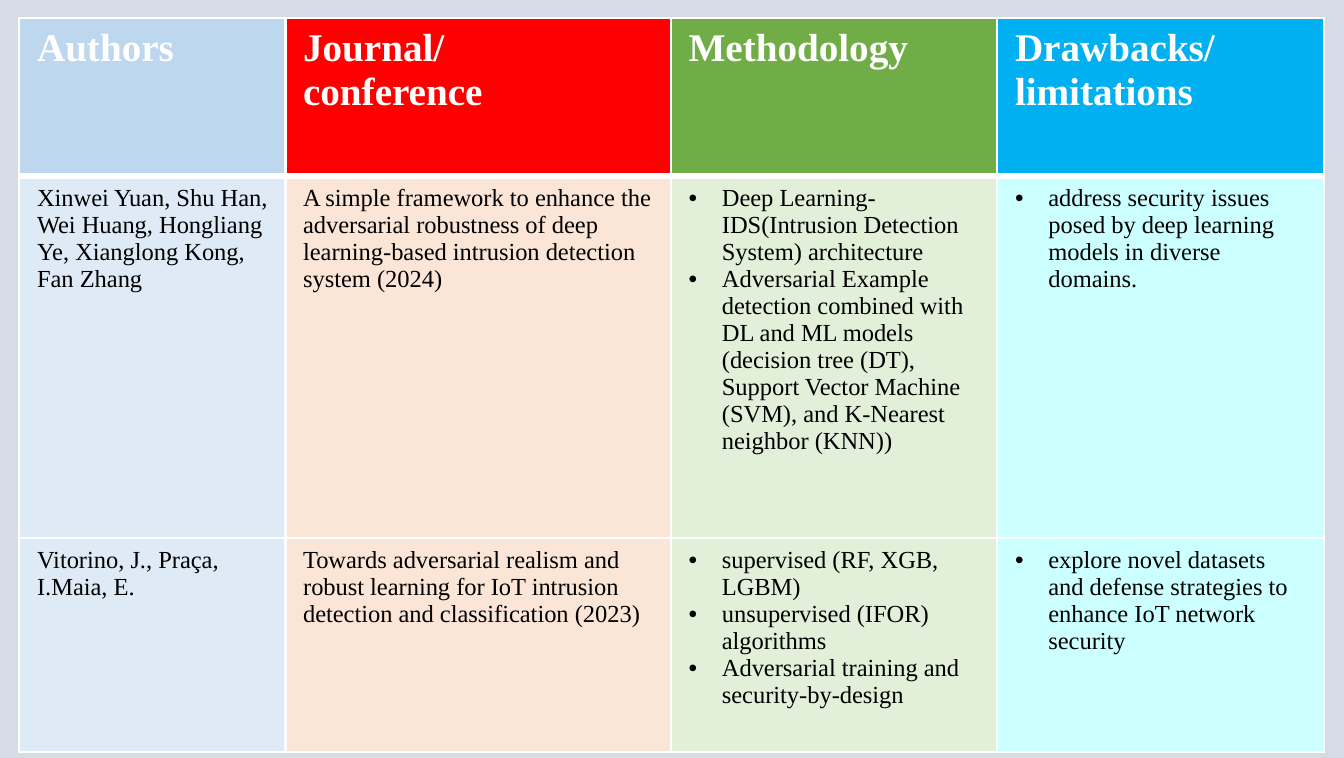
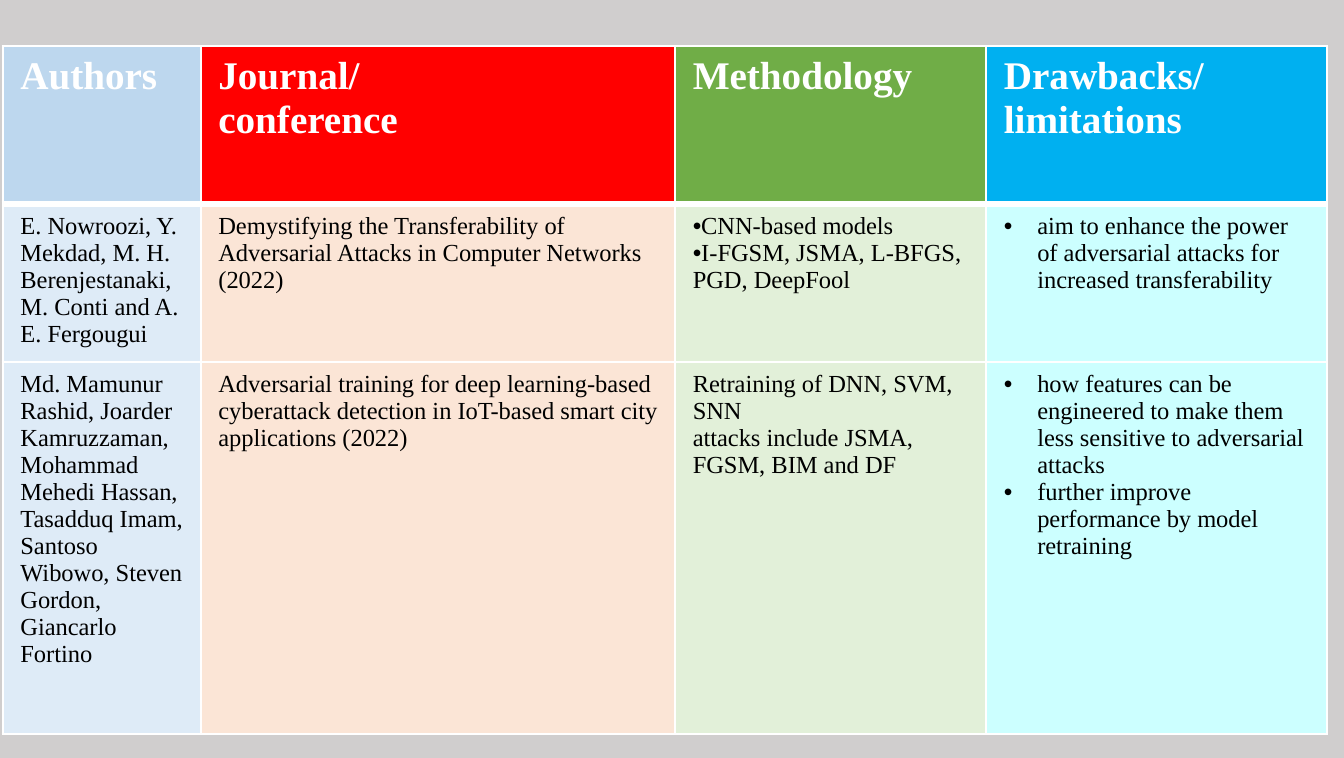
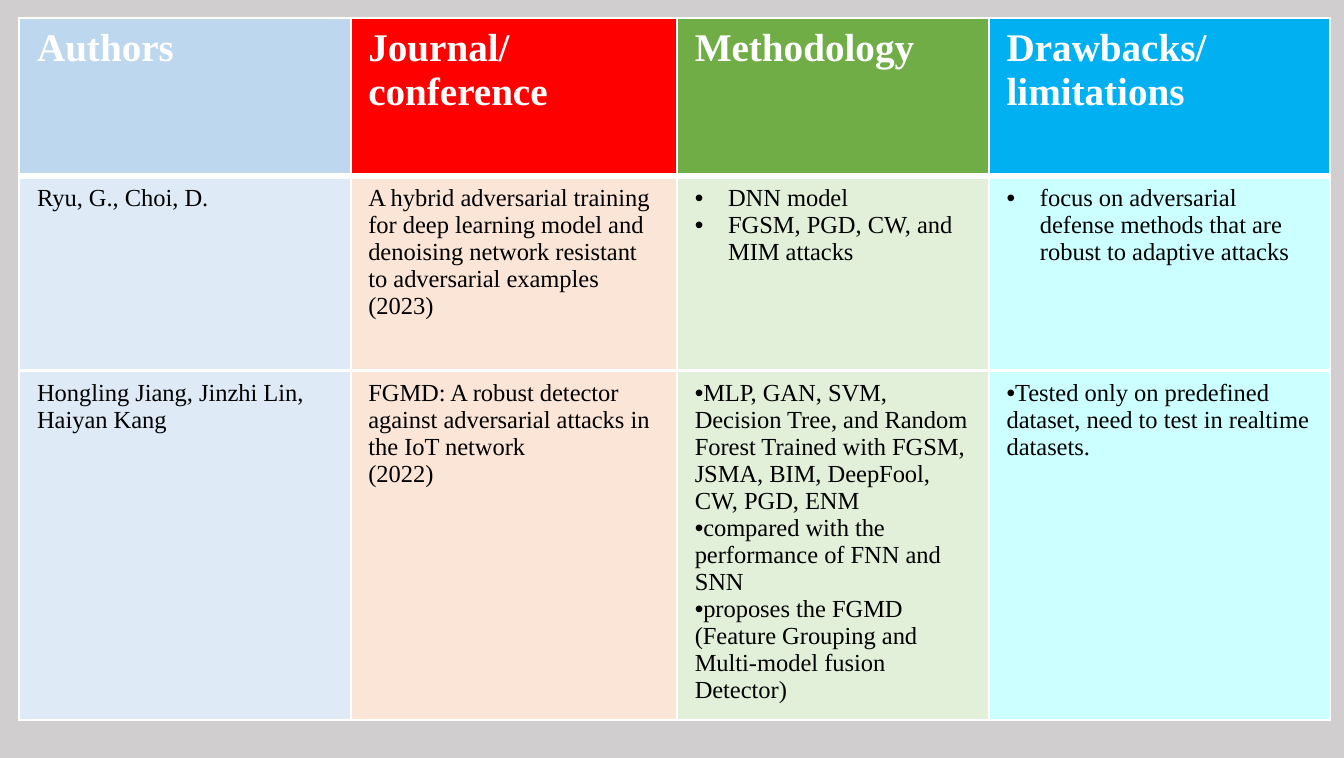
import pptx
import pptx.dml.color
import pptx.oxml.ns
import pptx.util
import lxml.etree

Cm = pptx.util.Cm
Pt = pptx.util.Pt
FONT = "Times New Roman"
WHITE, BLACK = "FFFFFF", "000000"
HEADS = [("Authors",), ("Journal/", "conference"), ("Methodology",), ("Drawbacks/", "limitations")]
DARK = ["BDD7EE", "FF0000", "70AD47", "00B0F0"]
LIGHT = ["DEEBF7", "FBE5D6", "E2F0D9", "CCFFFF"]
HEAD_HIGH = 2.28
PLAIN, FLAT, HANG = None, 0, 0.48

PAGES = [
    {
        "back": "D6DCE5", "at": (0.28, 0.26),
        "wide": [3.83, 5.55, 4.7, 4.7], "high": [5.21, 3.08],
        "rows": [
            [
                (PLAIN, "Xinwei Yuan, Shu Han, Wei Huang, Hongliang Ye, Xianglong Kong, Fan Zhang"),
                (PLAIN, "A simple framework to enhance the adversarial robustness of deep "
                        "learning-based intrusion detection system (2024)"),
                (HANG, "Deep Learning-IDS(Intrusion Detection System) architecture",
                 "Adversarial Example detection combined with DL and ML models (decision tree (DT), "
                 "Support Vector Machine (SVM), and K-Nearest neighbor (KNN))"),
                (HANG, "address security issues posed by deep learning models in diverse domains."),
            ],
            [
                (PLAIN, "Vitorino, J., Praça, I.Maia, E."),
                (PLAIN, "Towards adversarial realism and robust learning for IoT intrusion "
                        "detection and classification (2023)"),
                (HANG, "supervised (RF, XGB, LGBM)", "unsupervised (IFOR) algorithms",
                 "Adversarial training and security-by-design"),
                (HANG, "explore novel datasets and defense strategies to enhance IoT network security"),
            ],
        ],
    },
    {
        "back": "D0CECE", "at": (0.04, 0.66),
        "wide": [2.85, 6.83, 4.48, 4.91], "high": [2.27, 5.37],
        "rows": [
            [
                (PLAIN, "E. Nowroozi, Y. Mekdad, M. H. Berenjestanaki, M. Conti and A. E. Fergougui"),
                (PLAIN, "Demystifying the Transferability of Adversarial Attacks in Computer Networks (2022)"),
                (FLAT, "CNN-based models", "I-FGSM, JSMA, L-BFGS, PGD, DeepFool"),
                (HANG, "aim to enhance the power of adversarial attacks for increased transferability"),
            ],
            [
                (PLAIN, "Md. Mamunur Rashid, Joarder Kamruzzaman, Mohammad Mehedi Hassan, "
                        "Tasadduq Imam, Santoso Wibowo, Steven Gordon, Giancarlo Fortino"),
                (PLAIN, "Adversarial training for deep learning-based cyberattack detection in "
                        "IoT-based smart city applications (2022)"),
                (PLAIN, "Retraining of DNN, SVM, SNN", "attacks include JSMA, FGSM, BIM and DF"),
                (HANG, "how features can be engineered to make them less sensitive to adversarial attacks",
                 "further improve performance by model retraining"),
            ],
        ],
    },
    {
        "back": "D0CECE", "at": (0.28, 0.26),
        "wide": [4.77, 4.7, 4.49, 4.91], "high": [2.8, 5.03],
        "rows": [
            [
                (PLAIN, "Ryu, G., Choi, D."),
                (PLAIN, "A hybrid adversarial training for deep learning model and denoising "
                        "network resistant to adversarial examples (2023)"),
                (HANG, "DNN model", "FGSM, PGD, CW, and MIM attacks"),
                (HANG, "focus on adversarial defense methods that are robust to adaptive attacks"),
            ],
            [
                (PLAIN, "Hongling Jiang, Jinzhi Lin, Haiyan Kang"),
                (PLAIN, "FGMD: A robust detector against adversarial attacks in the IoT network", "(2022)"),
                (FLAT, "MLP, GAN, SVM, Decision Tree, and Random Forest Trained with FGSM, JSMA, "
                       "BIM, DeepFool, CW, PGD, ENM",
                 "compared with the performance of FNN and SNN",
                 "proposes the FGMD (Feature Grouping and Multi-model fusion Detector)"),
                (FLAT, "Tested only on predefined dataset, need to test in realtime datasets."),
            ],
        ],
    },
]


def paint(fill, tone):
    """Give a fill one solid colour."""
    fill.solid()
    fill.fore_color.rgb = pptx.dml.color.RGBColor.from_string(tone)


def add_node(top, tag, **marks):
    """Append one drawing element and return it."""
    return lxml.etree.SubElement(top, pptx.oxml.ns.qn(tag), marks)


def edge(cell, top, base):
    """Draw white cell borders with the given top and base weights."""
    props = cell._tc.get_or_add_tcPr()
    for side, size in (("L", 1), ("R", 1), ("T", top), ("B", base)):
        line = add_node(props, "a:ln" + side, w=str(Pt(size)))
        add_node(add_node(line, "a:solidFill"), "a:srgbClr", val=WHITE)


def mark(para, dent):
    """Put a bullet on a paragraph with a hanging indent."""
    props = para._p.get_or_add_pPr()
    props.set("marL", str(Cm(dent)))
    props.set("indent", str(-Cm(dent)))
    add_node(props, "a:buFont", typeface="Arial")
    add_node(props, "a:buChar", char="•")


def write(cell, lines, size, tone, bold, dent=PLAIN):
    """Write lines into a cell, one paragraph each."""
    frame = cell.text_frame
    for num, line in enumerate(lines):
        para = frame.add_paragraph() if num else frame.paragraphs[0]
        if dent is not PLAIN:
            mark(para, dent)
        run = para.add_run()
        run.text = line
        run.font.name, run.font.size, run.font.bold = FONT, Pt(size), bold
        paint(run.font.fill, tone)


def add_grid(slide, left, top, wide, high, rows):
    """Place the review table with its coloured heads at a point."""
    highs = [HEAD_HIGH] + high
    grid = slide.shapes.add_table(len(highs), len(wide), Cm(left), Cm(top),
                                  Cm(sum(wide)), Cm(sum(highs))).table
    grid.horz_banding = False
    for col, size in zip(grid.columns, wide):
        col.width = Cm(size)
    for row, size in zip(grid.rows, highs):
        row.height = Cm(size)
    for c, (head, dark, light) in enumerate(zip(HEADS, DARK, LIGHT)):
        cell = grid.cell(0, c)
        edge(cell, 1, 3)
        paint(cell.fill, dark)
        write(cell, head, 16, WHITE, True)
        for r, row in enumerate(rows, 1):
            cell = grid.cell(r, c)
            edge(cell, 3 if r == 1 else 1, 1)
            paint(cell.fill, light)
            dent, *lines = row[c]
            write(cell, lines, 10, BLACK, False, dent)


def main():
    """Build and save the deck."""
    deck = pptx.Presentation()
    deck.slide_width, deck.slide_height = Cm(19.35), Cm(10.92)
    for page in PAGES:
        slide = deck.slides.add_slide(deck.slide_layouts[6])
        paint(slide.background.fill, page["back"])
        add_grid(slide, *page["at"], page["wide"], page["high"], page["rows"])
    deck.save("out.pptx")


if __name__ == "__main__":
    main()
